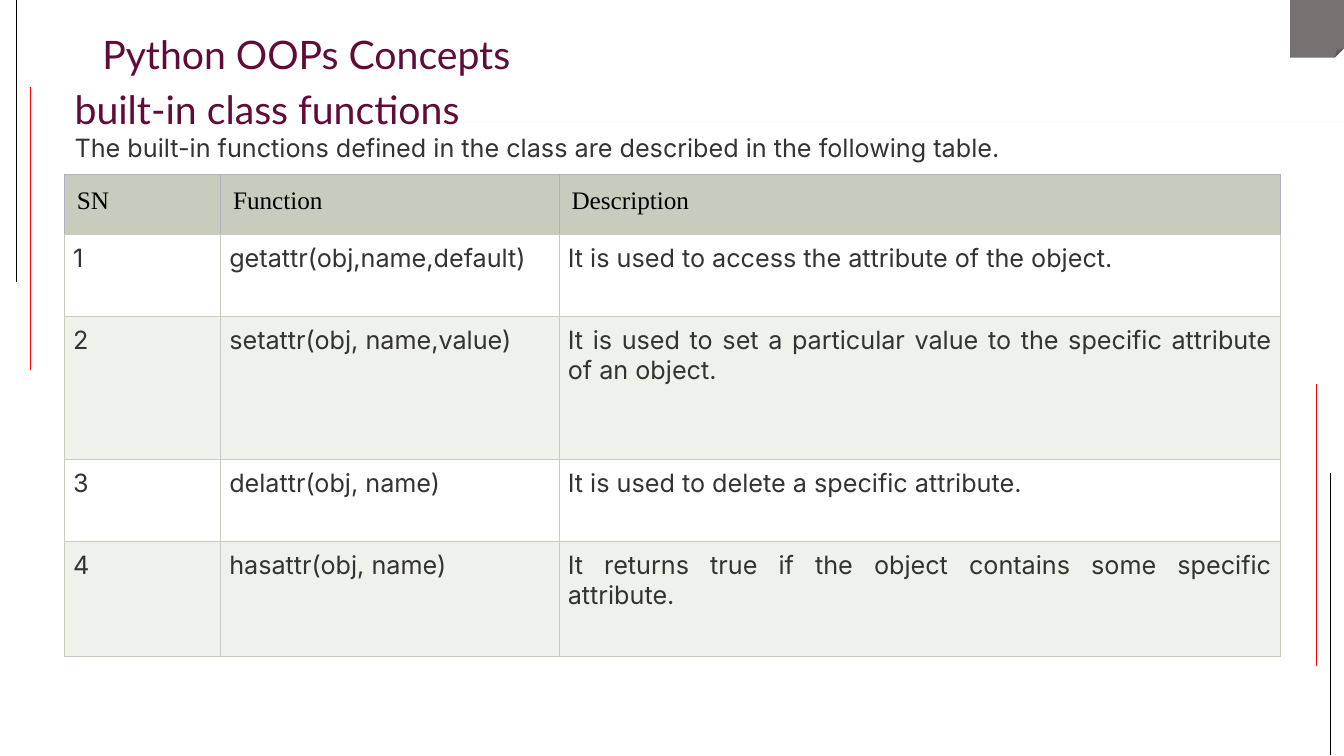
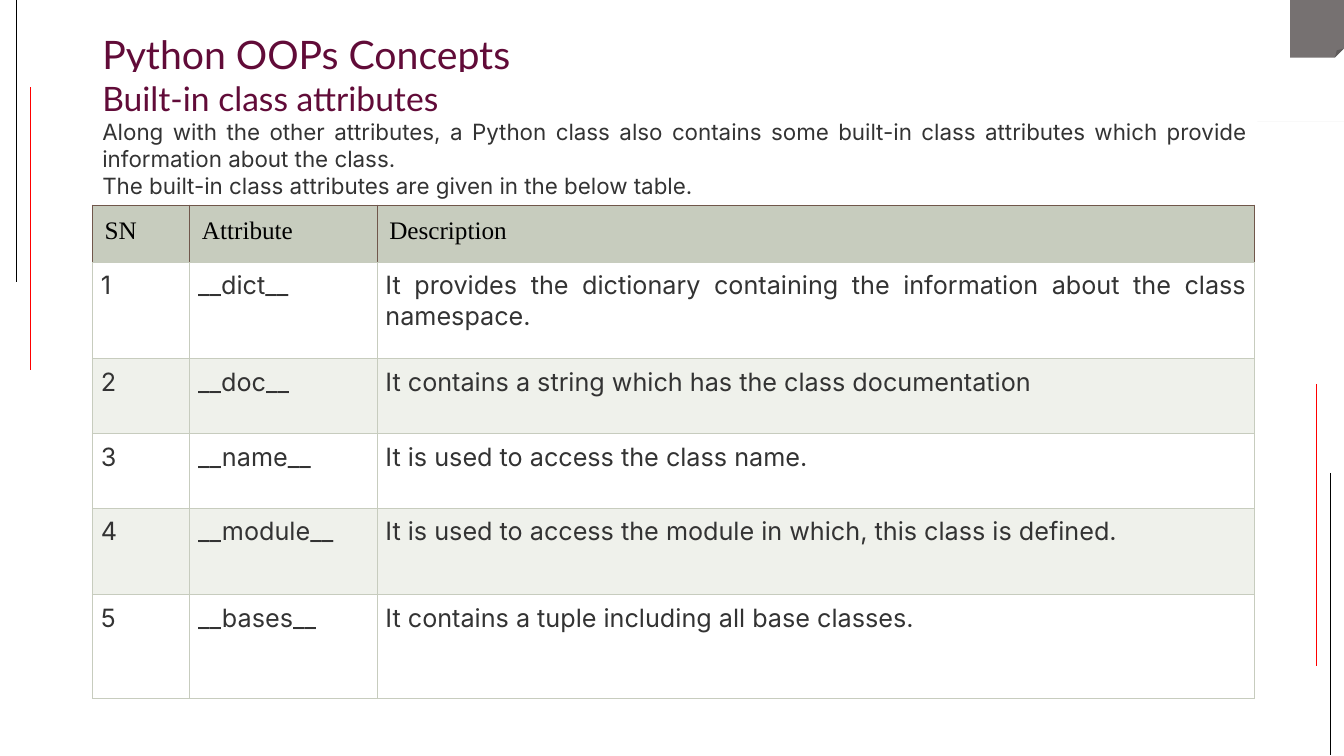
"""Build two slides of tables on Python class functions and attributes."""
from dataclasses import dataclass

from lxml import etree
from pptx import Presentation
from pptx.dml.color import RGBColor
from pptx.enum.shapes import MSO_CONNECTOR, MSO_SHAPE
from pptx.enum.text import MSO_ANCHOR, PP_ALIGN
from pptx.oxml.ns import qn
from pptx.util import Inches, Pt

LINE = MSO_CONNECTOR.STRAIGHT
RECT = MSO_SHAPE.RECTANGLE
FOLD = MSO_SHAPE.FOLDED_CORNER
TOP, MIDDLE = MSO_ANCHOR.TOP, MSO_ANCHOR.MIDDLE
LEFT, JUST = PP_ALIGN.LEFT, PP_ALIGN.JUSTIFY
COLS, ROWS = 160, 90


@dataclass(frozen=True)
class Theme:
    title: str = "Lato"
    body: str = "Inter"
    serif: str = "Times New Roman"
    plum: str = "610B38"
    ink: str = "333333"
    black: str = "000000"
    red: str = "FF0000"
    white: str = "FFFFFF"
    gray: str = "767171"
    rule: str = "D4D4D4"
    sage: str = "C7CCBE"
    mist: str = "EFF1EB"
    lilac: str = "B0B2C4"
    brown: str = "70574B"
    big: int = 28
    mid: int = 24
    base: int = 18
    small: int = 16
    hair: float = 0.5
    edge: float = 0.75


def write(frame, text, font, size, color, align=JUST, space=1.0):
    para = frame.paragraphs[0]
    if para.runs:
        para = frame.add_paragraph()
    para.alignment = align
    para.line_spacing = space
    run = para.add_run()
    run.text = text
    run.font.name = font
    run.font.size = Pt(size)
    run.font.color.rgb = RGBColor.from_string(color)


class Deck:
    def __init__(self, theme):
        self.theme = theme
        self.file = Presentation()
        self.file.slide_width = Inches(13.33)
        self.file.slide_height = Inches(7.5)
        self.slide = None

    def x(self, cols):
        return round(self.file.slide_width * cols / COLS)

    def y(self, rows):
        return round(self.file.slide_height * rows / ROWS)

    def area(self, left, top, width, height):
        return self.x(left), self.y(top), self.x(width), self.y(height)

    def page(self, title):
        t = self.theme
        self.slide = self.file.slides.add_slide(self.file.slide_layouts[6])
        self.shape(FOLD, (153.6, 0, 6.4, 6.85), t.gray)
        for left, top, color in ((1.9, 0, t.black), (3.6, 10.4, t.red),
                                 (158.4, 56.3, t.black), (156.7, 45.7, t.red)):
            self.line(left, top, 33.6, color)
        frame = self.text((11, 3.6, 138.5, 10.1))
        write(frame, title, t.title, t.big, t.plum, space=0.9)

    def line(self, left, top, height, color):
        x = self.x(left)
        line = self.slide.shapes.add_connector(
            LINE, x, self.y(top), x, self.y(top + height))
        line.line.color.rgb = RGBColor.from_string(color)
        line.line.width = Pt(self.theme.hair)
        etree.SubElement(line._element.spPr, qn("a:effectLst"))

    def shape(self, kind, box, color):
        shape = self.slide.shapes.add_shape(kind, *self.area(*box))
        shape.shadow.inherit = False
        shape.fill.solid()
        shape.fill.fore_color.rgb = RGBColor.from_string(color)
        shape.line.fill.background()
        return shape

    def rule(self):
        self.shape(RECT, (53.9, 14.5, COLS - 53.9, 0), self.theme.rule)

    def text(self, box):
        frame = self.slide.shapes.add_textbox(*self.area(*box)).text_frame
        frame.word_wrap = True
        frame.vertical_anchor = TOP
        return frame

    def panel(self, box):
        frame = self.shape(RECT, box, self.theme.white).text_frame
        frame.word_wrap = True
        frame.vertical_anchor = MIDDLE
        return frame

    def border(self, cell, edge):
        props = cell._tc.get_or_add_tcPr()
        for side in "LRTB":
            color = self.theme.sage if side == "B" else edge
            line = etree.SubElement(props, qn(f"a:ln{side}"),
                                    w=str(Pt(self.theme.edge)))
            fill = etree.SubElement(line, qn("a:solidFill"))
            etree.SubElement(fill, qn("a:srgbClr"), val=color)

    def cell(self, cell, text, row, edge):
        t = self.theme
        head = row == 0
        self.border(cell, edge if head else t.sage)
        cell.fill.solid()
        fill = t.sage if head else (t.mist, t.white)[row % 2]
        cell.fill.fore_color.rgb = RGBColor.from_string(fill)
        pad = self.x(1.45 if head else 1)
        cell.margin_left = cell.margin_right = pad
        cell.margin_top = cell.margin_bottom = pad
        cell.vertical_anchor = TOP
        if head:
            write(cell.text_frame, text, t.serif, t.base, t.black, align=LEFT)
        else:
            write(cell.text_frame, text, t.body, t.base, t.ink)

    def table(self, left, top, cols, rows, head, data, edge):
        box = self.area(left, top, sum(cols), sum(rows))
        table = self.slide.shapes.add_table(len(rows), len(cols), *box).table
        table.first_row = table.horz_banding = False
        for col, width in zip(table.columns, cols):
            col.width = self.x(width)
        for row, height in zip(table.rows, rows):
            row.height = self.y(height)
        lines = [head] + [(str(n), *line) for n, line in enumerate(data, 1)]
        for r, line in enumerate(lines):
            for c, text in enumerate(line):
                self.cell(table.cell(r, c), text, r, edge)


FUNCS = (
    ("getattr(obj,name,default)",
     "It is used to access the attribute of the object."),
    ("setattr(obj, name,value)",
     "It is used to set a particular value to the specific attribute of an object."),
    ("delattr(obj, name)", "It is used to delete a specific attribute."),
    ("hasattr(obj, name)",
     "It returns true if the object contains some specific attribute."),
)
ATTRS = (
    ("__dict__",
     "It provides the dictionary containing the information about the class namespace."),
    ("__doc__", "It contains a string which has the class documentation"),
    ("__name__", "It is used to access the class name."),
    ("__module__",
     "It is used to access the module in which, this class is defined."),
    ("__bases__", "It contains a tuple including all base classes."),
)
TITLE = "Python OOPs Concepts"


def funcs(deck):
    t = deck.theme
    deck.page(TITLE)
    frame = deck.text((7.7, 9.6, 141.8, 76.8))
    write(frame, "built-in class functions", t.title, t.big, t.plum)
    write(frame, "The built-in functions defined in the class are described "
          "in the following table.", t.body, t.base, t.ink)
    deck.rule()
    deck.table(7.7, 20.8, (18.6, 40.3, 85.8), (7.1, 9.8, 17, 9.8, 13.7),
               ("SN", "Function", "Description"), FUNCS, t.lilac)


def attrs(deck):
    t = deck.theme
    deck.page(TITLE)
    deck.table(11, 24.4, (11.6, 22.3, 104.5),
               (6.8, 11.5, 8.9, 8.9, 10.3, 12.4),
               ("SN", "Attribute", "Description"), ATTRS, t.brown)
    deck.rule()
    frame = deck.panel((11, 8.6, 138.7, 15.7))
    write(frame, "Built-in class attributes", t.title, t.mid, t.plum)
    for text in ("Along with the other attributes, a Python class also contains "
                 "some built-in class attributes which provide information "
                 "about the class.",
                 "The built-in class attributes are given in the below table."):
        write(frame, text, t.body, t.small, t.ink)


def main():
    deck = Deck(Theme())
    funcs(deck)
    attrs(deck)
    deck.file.save("out.pptx")


if __name__ == "__main__":
    main()
